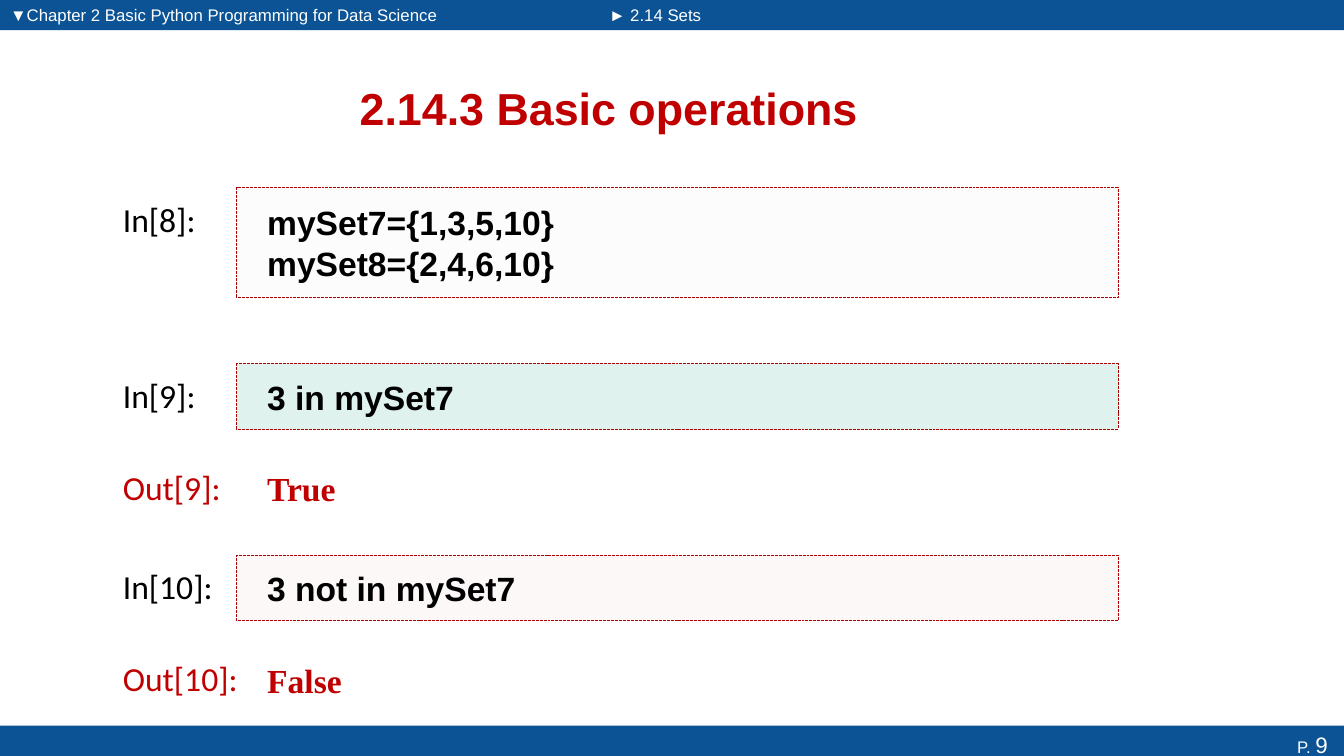
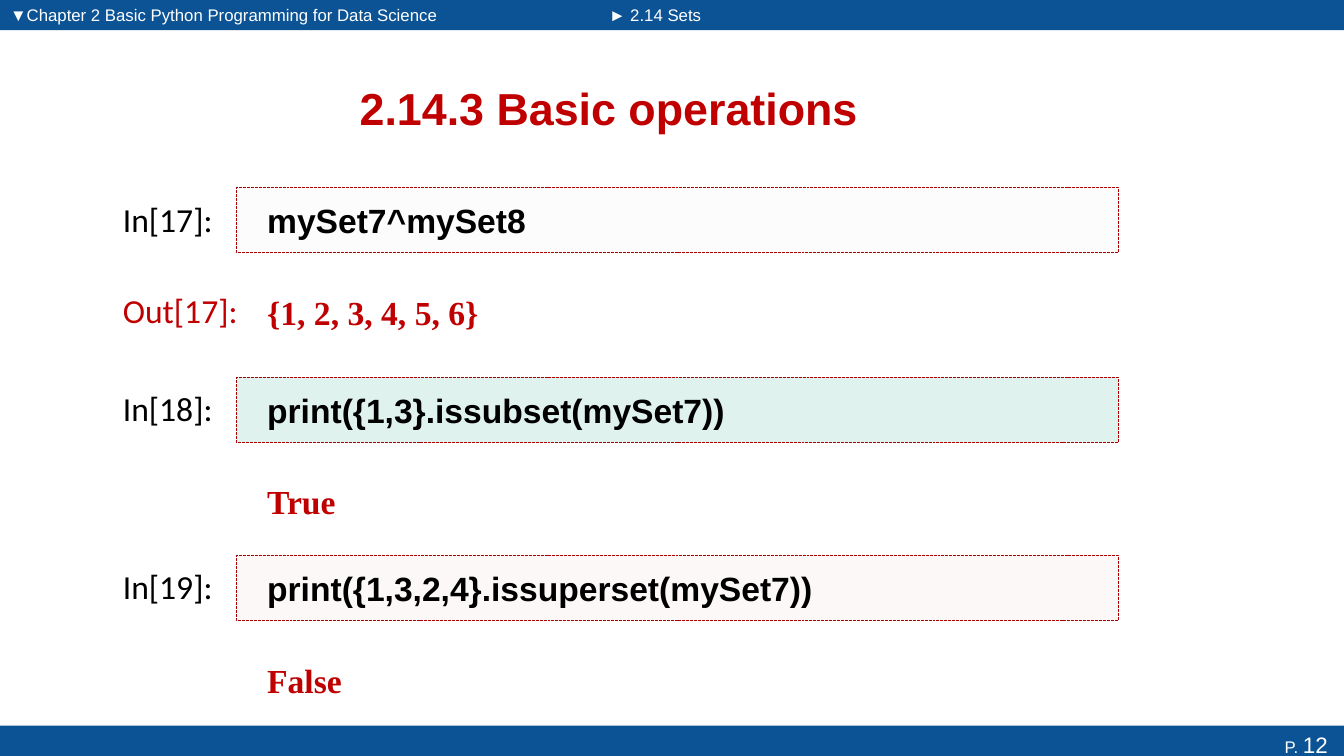
from dataclasses import dataclass

from lxml.etree import SubElement
from pptx import Presentation
from pptx.dml.color import RGBColor
from pptx.enum.dml import MSO_LINE_DASH_STYLE as Dash
from pptx.enum.shapes import MSO_AUTO_SHAPE_TYPE as ShapeType
from pptx.enum.text import MSO_ANCHOR as Anchor, MSO_AUTO_SIZE as AutoSize, PP_ALIGN as Align
from pptx.oxml.ns import qn
from pptx.util import Inches, Pt

COLORS = {
    "band": "0B5394", "white": "FFFFFF", "black": "000000",
    "red": "C00000", "border": "AB0000",
}
TINTS = ["F1EEF4", "0C9B74", "EDCDCB"]  # code boxes, top to bottom
TINT_OPACITY = 13

# Text styles: font attributes plus a colour name
STYLES = {
    "title": {"name": "Arial", "size": Pt(32), "bold": True, "color": "red"},
    "nav": {"name": "Arial", "size": Pt(12), "bold": False, "color": "white"},
    "page": {"name": "Arial", "size": Pt(16), "bold": False, "color": "white"},
    "in": {"name": "Calibri", "size": Pt(24), "bold": False, "color": "black"},
    "out": {"name": "Calibri", "size": Pt(24), "bold": False, "color": "red"},
    "code": {"name": "Arial", "size": Pt(24), "bold": True, "color": "black"},
    "result": {"name": "Times New Roman", "size": Pt(24), "bold": True, "color": "red"},
}
BOX_FRAME = {
    "margin_left": Inches(0.3), "margin_right": Inches(0.1),
    "margin_top": Inches(0.05), "margin_bottom": Inches(0.05),
    "vertical_anchor": Anchor.MIDDLE, "word_wrap": True,
}

Box = tuple[float, float, float, float]

BANDS: list[Box] = [(0, 0, 5.93, 0.3), (0, 7.2, 13.33, 0.37), (5.93, 0, 7.4, 0.3)]
FOOTER = BANDS[1]
TITLE_BOX: Box = (0.68, 0.62, 10.72, 0.9)
NAV: list[tuple[str, Box]] = [
    ("▼Chapter 2 Basic Python Programming for Data Science", (0, 0, 4.83, 0.29)),
    ("► 2.14 Sets", (5.94, 0, 2.38, 0.29)),
]

# Notebook cell geometry
LABEL_X, CODE_X, CODE_W = 1.12, 2.35, 8.74
LINE_H, BOX_PAD = 0.44, 0.21
LABEL_DROP, RESULT_DROP = 0.06, 0.91


@dataclass
class Cell:
    top: float
    number: int
    code: list[str]
    result: str = ""
    out_label: bool = True


@dataclass
class Page:
    number: int
    title: str
    cells: list[Cell]


PAGES = [
    Page(9, "2.14.3 Basic operations", [
        Cell(1.86, 8, ["mySet7={1,3,5,10}", "mySet8={2,4,6,10}"]),
        Cell(3.61, 9, ["3 in mySet7"], "True"),
        Cell(5.51, 10, ["3 not in mySet7"], "False"),
    ]),
    Page(12, "2.14.3 Basic operations", [
        Cell(1.86, 17, ["mySet7^mySet8"], "{1, 2, 3, 4, 5, 6}"),
        Cell(3.74, 18, ["print({1,3}.issubset(mySet7))"], "True", False),
        Cell(5.51, 19, ["print({1,3,2,4}.issuperset(mySet7))"], "False", False),
    ]),
]


def rgb(hex_color: str) -> RGBColor:
    return RGBColor.from_string(hex_color)


def set_attrs(target, values: dict) -> None:
    for name, value in values.items():
        setattr(target, name, value)


def add_run(p, text: str, style: str) -> None:
    r = p.add_run()
    r.text = text
    values = dict(STYLES[style])
    r.font.color.rgb = rgb(COLORS[values.pop("color")])
    set_attrs(r.font, values)


def add_lines(tf, lines: list[str], style: str) -> None:
    for i, line in enumerate(lines):
        p = tf.add_paragraph() if i else tf.paragraphs[0]
        p.alignment = Align.LEFT
        add_run(p, line, style)


def add_text(shapes, box: Box, lines: list[str], style: str):
    s = shapes.add_textbox(*map(Inches, box))
    s.text_frame.word_wrap = True
    add_lines(s.text_frame, lines, style)
    return s


def add_rect(shapes, box: Box, fill: str):
    s = shapes.add_shape(ShapeType.RECTANGLE, *map(Inches, box))
    s.shadow.inherit = False
    s.fill.solid()
    s.fill.fore_color.rgb = rgb(fill)
    s.line.fill.background()
    return s


def move_bands_to_layout(slide, layout) -> None:
    """Draw the bands and make them part of the shared layout, at the back."""
    for i, box in enumerate(BANDS):
        sp = add_rect(slide.shapes, box, COLORS["band"]).element
        sp.xpath(".//p:cNvPr")[0].set("id", str(100 + i))
        layout.shapes.element.insert(2 + i, sp)


def fill_placeholder(s, text: str, box: Box, style: str):
    set_attrs(s, dict(zip(("left", "top", "width", "height"), map(Inches, box))))
    tf = s.text_frame
    set_attrs(tf, {"word_wrap": True, "auto_size": AutoSize.NONE})
    p = tf.paragraphs[0]
    add_run(p, text, style)
    return p


def add_code_box(shapes, box: Box, lines: list[str], tint: str) -> None:
    s = add_rect(shapes, box, tint)
    color = s.element.spPr.find(qn("a:solidFill"))[0]
    SubElement(color, qn("a:alpha")).set("val", str(TINT_OPACITY * 1000))
    s.line.color.rgb = rgb(COLORS["border"])
    set_attrs(s.line, {"width": Pt(0.7), "dash_style": Dash.SQUARE_DOT})
    set_attrs(s.text_frame, BOX_FRAME)
    add_lines(s.text_frame, lines, "code")


def add_label(shapes, top: float, width: float, text: str, style: str) -> None:
    s = add_text(shapes, (LABEL_X, top + LABEL_DROP, width, 0.5), [text], style)
    s.text_frame.auto_size = AutoSize.SHAPE_TO_FIT_TEXT


def add_cell(slide, cell: Cell, tint: str) -> None:
    shapes = slide.shapes.add_group_shape().shapes
    add_label(shapes, cell.top, 1.11, f"In[{cell.number}]:", "in")
    height = BOX_PAD + LINE_H * len(cell.code)
    add_code_box(shapes, (CODE_X, cell.top, CODE_W, height), cell.code, tint)
    if not cell.result:
        return
    top = cell.top + RESULT_DROP
    if cell.out_label:
        add_label(shapes, top, 1.35, f"Out[{cell.number}]:", "out")
    s = add_text(shapes, (CODE_X, top, CODE_W, BOX_PAD + LINE_H), [cell.result], "result")
    set_attrs(s.text_frame, BOX_FRAME)


def add_page(slide, page: Page) -> None:
    # Title and navigation
    title, *bodies = slide.placeholders
    p = fill_placeholder(title, page.title, TITLE_BOX, "title")
    p.alignment = Align.CENTER
    title.text_frame.vertical_anchor = Anchor.MIDDLE
    for body, (text, box) in zip(bodies, NAV):
        p = fill_placeholder(body, text, box, "nav")
        SubElement(p._p.get_or_add_pPr(), qn("a:buNone"))

    # Notebook cells
    for cell, tint in zip(page.cells, TINTS):
        add_cell(slide, cell, tint)

    # Page number
    s = add_text(slide.shapes, FOOTER, ["P. "], "nav")
    p = s.text_frame.paragraphs[0]
    p.alignment = Align.RIGHT
    add_run(p, f"{page.number} ", "page")


def main() -> None:
    prs = Presentation()
    prs.slide_width, prs.slide_height = Inches(13.33), Inches(7.5)
    layout = prs.slide_layouts.get_by_name("Two Content")
    slides = [prs.slides.add_slide(layout) for _ in PAGES]
    move_bands_to_layout(slides[0], layout)
    for slide, page in zip(slides, PAGES):
        add_page(slide, page)
    prs.save("out.pptx")


if __name__ == "__main__":
    main()
